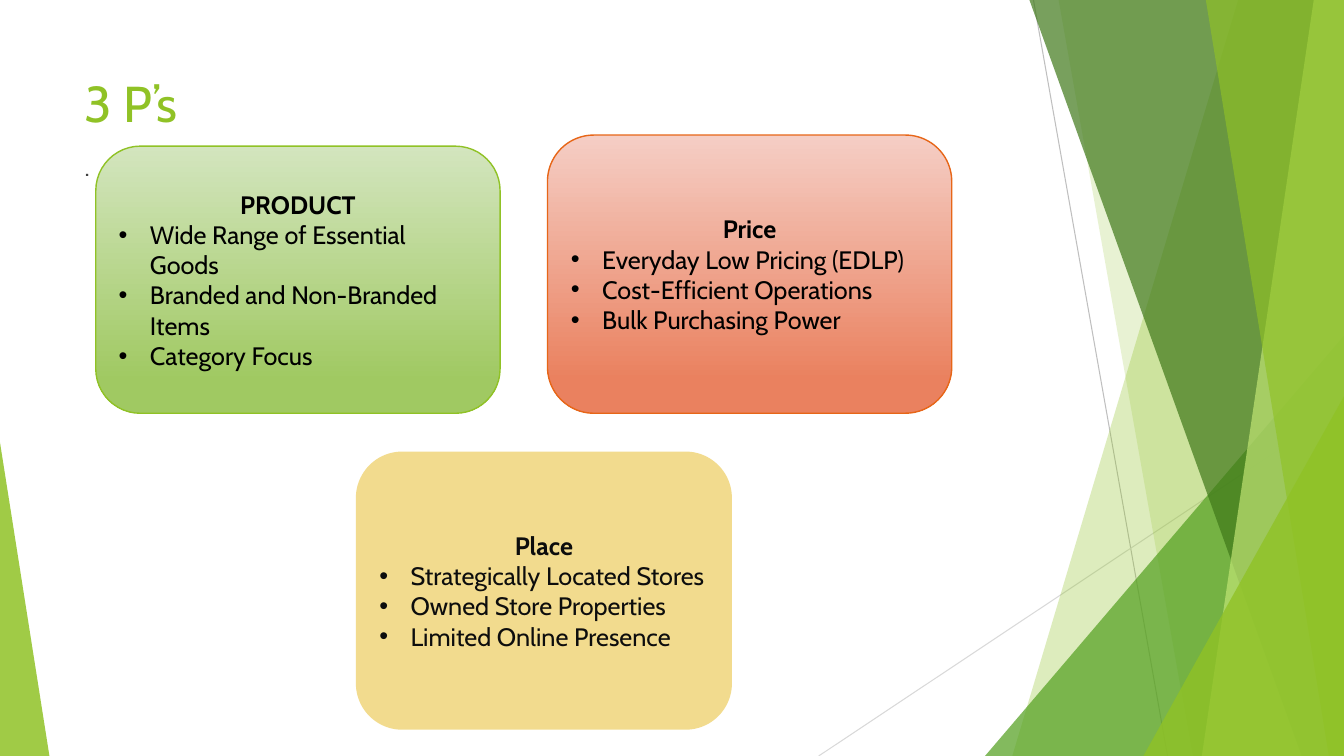
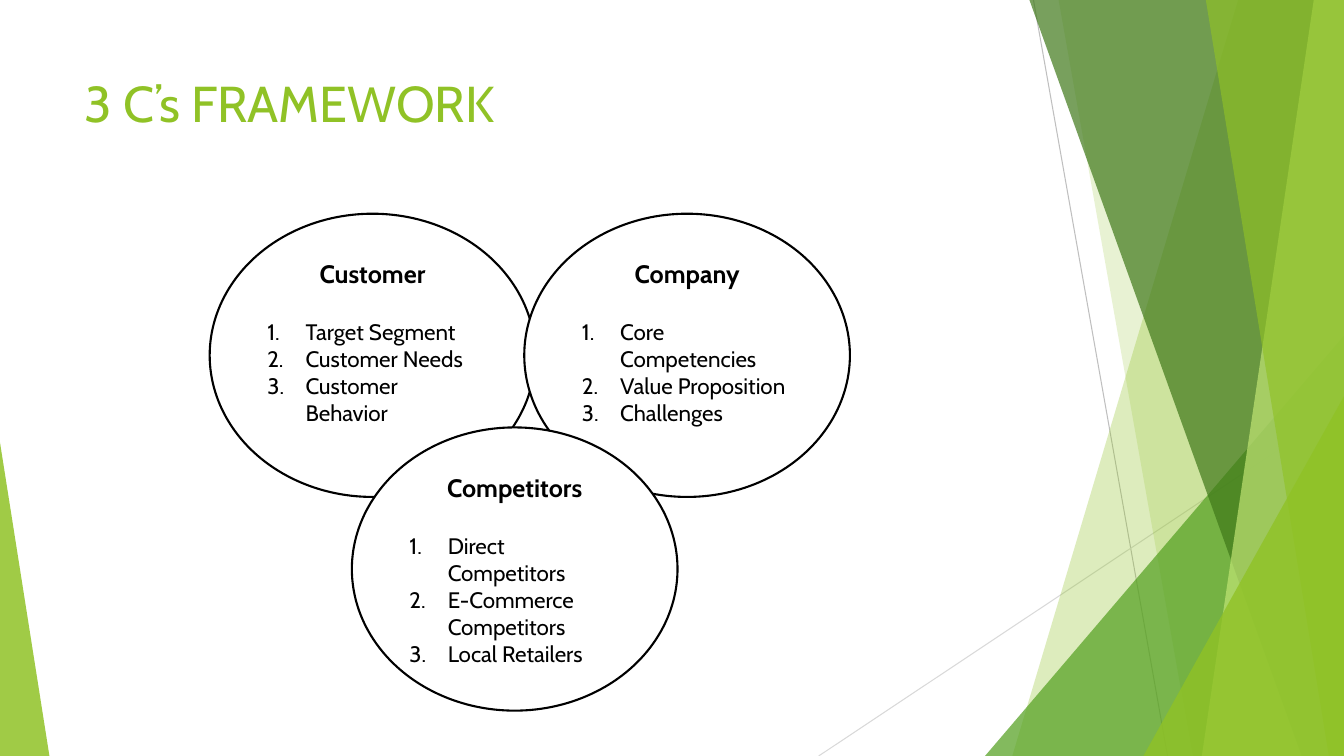
from pptx import Presentation
from pptx import util as u
from pptx.dml.color import RGBColor
from pptx.enum import shapes, text
from pptx.oxml.ns import qn
from lxml import etree

WIDTH, HEIGHT = 13.33, 7.5
FONT = "Cabin"
LIME, GREEN, FOREST, PALE = "90C226", "54A021", "3F7819", "C0E474"
BLACK, WHITE = "000000", "FFFFFF"

# start x, start y, end x, end y, colour
HAIRLINES = [
    (10.25, 0, 11.58, HEIGHT, "BFBFBF"),
    (WIDTH, 4.03, 8.12, HEIGHT, "D9D9D9"),
]
# Back to front: bands are (top x, bottom x), wedges are (left, top)
RIBBONS = [
    ("band", (12.28, 10.04), LIME, 30),
    ("band", (10.5, 11.83), LIME, 20),
    ("wedge", (9.77, 3.33), GREEN, 72),
    ("band", (10.21, 12.91), FOREST, 70),
    ("band", (13.03, 11.92), PALE, 70),
    ("band", (11.96, 13.18), LIME, 65),
    ("wedge", (11.34, 3.93), LIME, 80),
]
LEFT_WEDGE = (0, 4.39, 0.49, 3.11)

CARDS = [
    dict(heading="PRODUCT", at=(0.95, 1.45, 4.01, 2.65), color=BLACK,
         gradient=("D3E5BE", "A0C962"), outline=LIME,
         items=["Wide Range of Essential Goods",
                "Branded and Non-Branded Items",
                "Category Focus"]),
    dict(heading="Price", at=(5.43, 1.34, 4.01, 2.76), color=BLACK,
         gradient=("F5CEC5", "EA815F"), outline="E76618",
         items=["Everyday Low Pricing (EDLP)",
                "Cost-Efficient Operations",
                "Bulk Purchasing Power"]),
    dict(heading="Place", at=(3.53, 4.48, 3.73, 2.76), color="0D0D0D",
         solid="E6B91E", opacity=50,
         items=["Strategically Located Stores",
                "Owned Store Properties",
                "Limited Online Presence"]),
]

CIRCLE_SIZE = (3.23, 2.81)
CIRCLES = [
    ("Customer", (2.08, 2.12),
     ["Target Segment", "Customer Needs", "Customer Behavior"]),
    ("Company", (5.2, 2.12),
     ["Core Competencies", "Value Proposition", "Challenges"]),
    ("Competitors", (3.49, 4.24),
     ["Direct Competitors", "E-Commerce Competitors", "Local Retailers"]),
]


def inches(values):
    return [u.Inches(value) for value in values]


def rgb(color):
    return RGBColor.from_string(color)


def paint(shape, color, opacity=100):
    shape.fill.solid()
    shape.fill.fore_color.rgb = rgb(color)
    if opacity < 100:
        node = shape.fill._xPr.find(qn("a:solidFill"))[0]
        etree.SubElement(node, qn("a:alpha"), val=str(opacity * 1000))


def paint_gradient(shape, colors):
    """Fade from top to bottom, reaching the last colour at 88 %."""
    shape.fill.gradient()
    shape.fill.gradient_angle = 270
    for stop, color, position in zip(shape.fill.gradient_stops, colors, (0, 0.88)):
        stop.color.rgb = rgb(color)
        stop.position = position


def outline(shape, color=None, width=1):
    if color:
        shape.line.color.rgb = rgb(color)
        shape.line.width = u.Pt(width)
    else:
        shape.line.fill.background()


def add_shape(page, kind, at):
    shape = page.shapes.add_shape(kind, *inches(at))
    shape.shadow.inherit = False
    return shape


def add_para(frame, words, size=18, color=BLACK, bold=False, align="LEFT",
             after=0, marker=None, indent=0):
    """Marker is an a:buChar or a:buAutoNum as (tag, attributes)."""
    first = frame.paragraphs[0]
    para = frame.add_paragraph() if first.runs else first
    para.alignment = text.PP_ALIGN[align]
    para.space_after = u.Pt(after)
    span = para.add_run()
    span.text = words
    span.font.name = FONT
    span.font.size = u.Pt(size)
    span.font.bold = bold
    span.font.color.rgb = rgb(color)
    if marker:
        props = para._p.get_or_add_pPr()
        props.set("marL", str(u.Inches(indent)))
        props.set("indent", str(-u.Inches(indent)))
        tag, attributes = marker
        etree.SubElement(props, qn("a:buFont"), typeface="Arial" if tag == "a:buChar" else FONT)
        etree.SubElement(props, qn(tag), **attributes)


def add_list(shape, heading, items, color=BLACK, gap=0, **item_format):
    frame = shape.text_frame
    frame.word_wrap = True
    add_para(frame, heading, color=color, bold=True, align="CENTER", after=gap)
    for item in items:
        add_para(frame, item, color=color, **item_format)
    return frame


def add_text(page, words, at, **text_format):
    box = page.shapes.add_textbox(*inches(at))
    box.text_frame.word_wrap = True
    add_para(box.text_frame, words, **text_format)


def add_band(page, top_x, bottom_x):
    """Fill the area from a slanted edge to the right side of the slide."""
    corners = [(top_x, 0), (WIDTH, 0), (WIDTH, HEIGHT), (bottom_x, HEIGHT)]
    points = [inches(corner) for corner in corners]
    builder = page.shapes.build_freeform(*points[0])
    builder.add_line_segments(points[1:], close=True)
    band = builder.convert_to_shape()
    band.shadow.inherit = False
    return band


def add_wedge(page, at, apex):
    wedge = add_shape(page, shapes.MSO_SHAPE.ISOSCELES_TRIANGLE, at)
    wedge.adjustments[0] = apex
    return wedge


def add_backdrop(page):
    for *ends, color in HAIRLINES:
        line = page.shapes.add_connector(shapes.MSO_CONNECTOR.STRAIGHT, *inches(ends))
        outline(line, color, 0.75)
        etree.SubElement(line._element.spPr, qn("a:effectLst"))
    for kind, place, color, opacity in RIBBONS:
        if kind == "band":
            ribbon = add_band(page, *place)
        else:
            left, top = place
            ribbon = add_wedge(page, (left, top, WIDTH - left, HEIGHT - top), 1)
        paint(ribbon, color, opacity)
        outline(ribbon)
    wedge = add_wedge(page, LEFT_WEDGE, 0)
    paint(wedge, LIME, 85)
    outline(wedge)


def add_page(deck, title):
    page = deck.slides.add_slide(deck.slide_layouts[6])
    add_backdrop(page)
    add_text(page, title, (0.74, 0.67, 9.4, 0.75), size=36, color=LIME)
    return page


def add_card(page, card):
    shape = add_shape(page, shapes.MSO_SHAPE.ROUNDED_RECTANGLE, card["at"])
    if "gradient" in card:
        paint_gradient(shape, card["gradient"])
    else:
        paint(shape, card["solid"], card["opacity"])
    outline(shape, card.get("outline"))
    frame = add_list(shape, card["heading"], card["items"], card["color"],
                     marker=("a:buChar", {"char": "•"}), indent=0.31)
    frame.vertical_anchor = text.MSO_ANCHOR.MIDDLE


def add_circle(page, heading, corner, items):
    shape = add_shape(page, shapes.MSO_SHAPE.OVAL, corner + CIRCLE_SIZE)
    paint(shape, WHITE)
    outline(shape, BLACK, 1.5)
    frame = add_list(shape, heading, items, gap=21.5, size=16,
                     marker=("a:buAutoNum", {"type": "arabicPeriod"}), indent=0.38)
    frame.vertical_anchor = text.MSO_ANCHOR.TOP
    frame.margin_top = u.Inches(0.03)


def main():
    deck = Presentation()
    deck.slide_width, deck.slide_height = inches((WIDTH, HEIGHT))

    page = add_page(deck, "3 P’s")
    add_text(page, ".", (0.74, 1.45, 9.4, 5.15), color="404040")
    for card in CARDS:
        add_card(page, card)

    page = add_page(deck, "3 C’s FRAMEWORK")
    for circle in CIRCLES:
        add_circle(page, *circle)

    deck.save("out.pptx")


if __name__ == "__main__":
    main()
